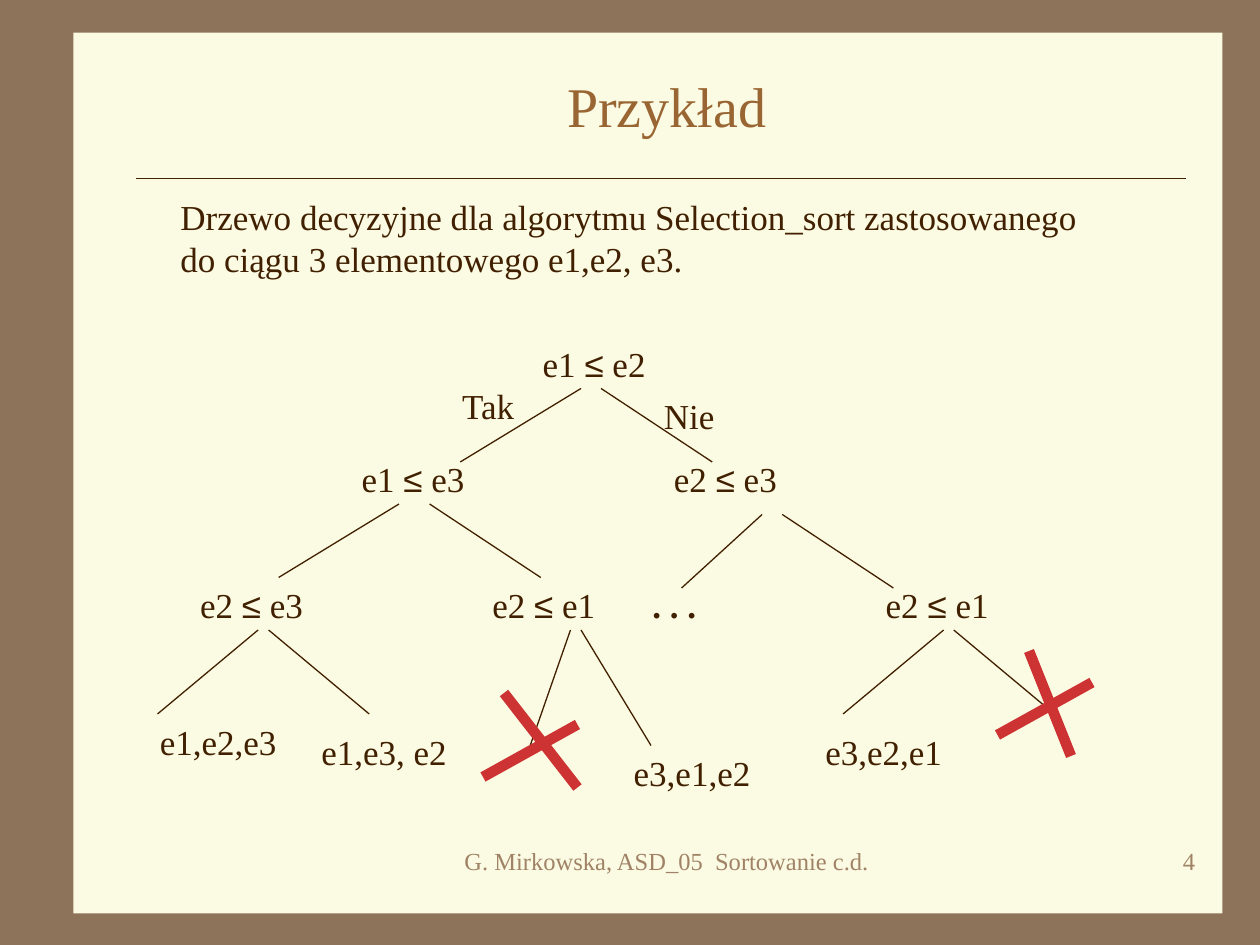
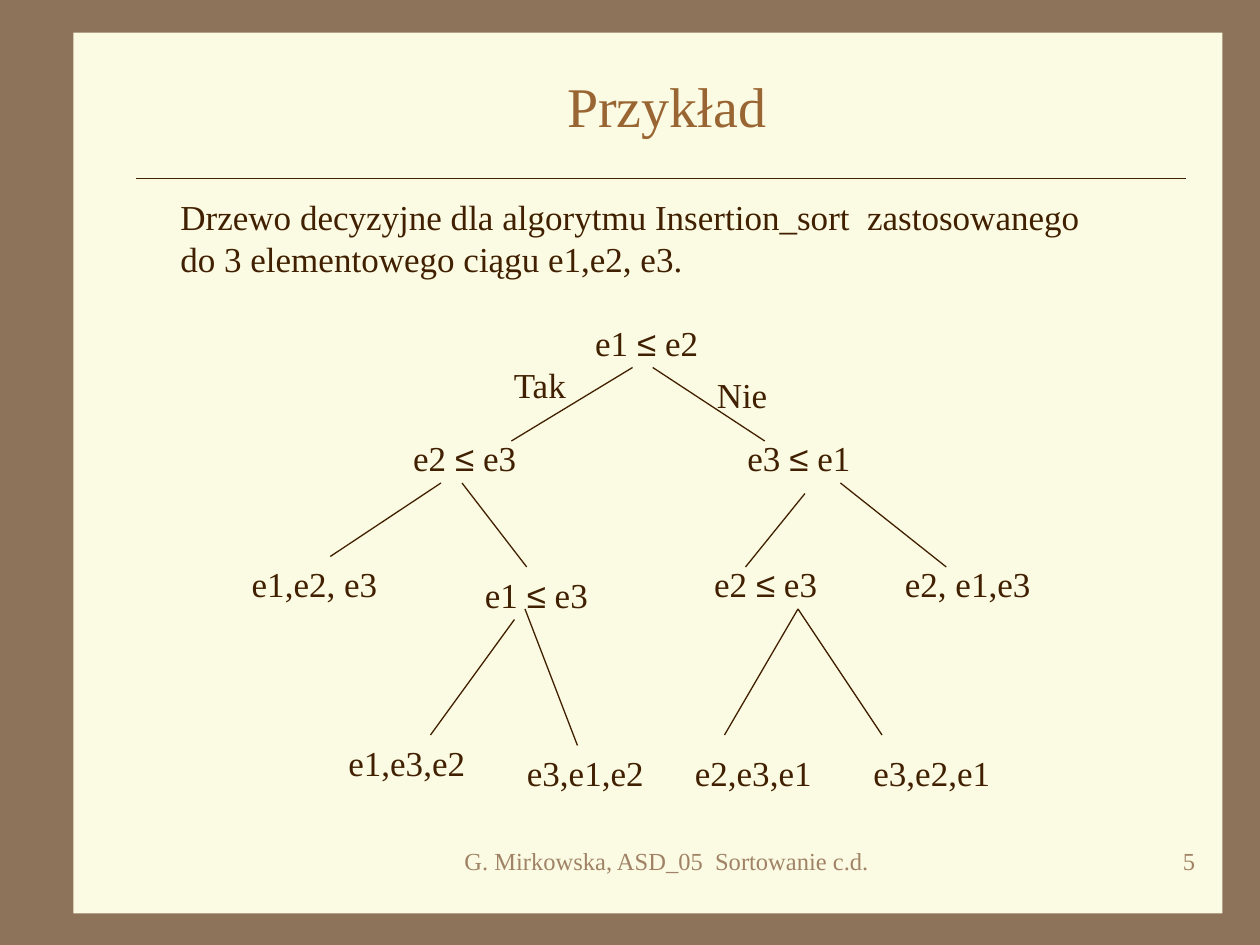
from dataclasses import dataclass

from lxml.etree import SubElement
from pptx import Presentation
from pptx.dml.color import RGBColor
from pptx.enum.shapes import MSO_CONNECTOR, MSO_SHAPE
from pptx.enum.text import MSO_ANCHOR, PP_ALIGN
from pptx.oxml.ns import qn
from pptx.util import Pt


@dataclass(frozen=True)
class Theme:
    frame: RGBColor = RGBColor(0x8C, 0x73, 0x5A)
    paper: RGBColor = RGBColor(0xFB, 0xFA, 0xE2)
    ink: RGBColor = RGBColor(0x40, 0x20, 0x00)
    title: RGBColor = RGBColor(0x99, 0x66, 0x33)
    foot: RGBColor = RGBColor(0xA0, 0x83, 0x66)
    cross: RGBColor = RGBColor(0xCD, 0x33, 0x33)
    serif: str = "Times New Roman"
    sans: str = "Arial"
    big: float = 32
    text: float = 20
    small: float = 14
    thin: float = 0.75
    thick: float = 6


THEME = Theme()
NODE = (104, 31.5)
AUTHOR = "G. Mirkowska, ASD_05  Sortowanie c.d."

# Labels are (text, left, top); lines are (x1, y1, x2, y2), parent first.
SELECT = {
    "number": 4,
    "intro": "Drzewo decyzyjne dla algorytmu Selection_sort zastosowanego "
             "do ciągu 3 elementowego e1,e2, e3.",
    "labels": [
        ("e1 ≤ e2", 303, 192),
        ("Tak", 257, 216), ("Nie", 372.25, 222),
        ("e1 ≤ e3", 199.5, 258), ("e2 ≤ e3", 378, 258),
        ("e2 ≤ e3", 107.25, 330), ("e2 ≤ e1", 274.25, 330),
        ("e2 ≤ e1", 499, 330),
        ("e1,e2,e3", 84.25, 408), ("e1,e3, e2", 176.5, 414),
        ("e3,e1,e2", 355, 426), ("e3,e2,e1", 464.5, 414),
    ],
    "dots": (365.75, 330),
    "edges": [
        (332, 222, 263, 264), (343.5, 222, 407, 264),
        (228, 288, 159.25, 330), (245.5, 288, 309, 330),
        (435.5, 294, 389.5, 336), (447, 294, 510.5, 336),
        (147.5, 360, 90, 408), (153.5, 360, 211, 408),
        (326, 360, 303, 426), (332, 360, 372, 426),
        (539.25, 360, 481.75, 408), (545, 360, 602.5, 408),
    ],
    "crosses": [
        (288, 396, 330, 450), (276, 444, 330, 414),
        (588, 372, 612, 432), (570, 420, 624, 390),
    ],
}
INSERT = {
    "number": 5,
    "intro": "Drzewo decyzyjne dla algorytmu Insertion_sort  zastosowanego "
             "do 3 elementowego ciągu e1,e2, e3.",
    "labels": [
        ("e1 ≤ e2", 333, 180),
        ("Tak", 286.5, 204), ("Nie", 402.5, 210),
        ("e2 ≤ e3", 229, 246), ("e3 ≤ e1", 420, 246),
        ("e1,e2, e3", 136.75, 318), ("e1 ≤ e3", 270, 324),
        ("e2 ≤ e3", 401, 318), ("e2, e1,e3", 510, 318),
        ("e1,e3,e2", 192, 420), ("e3,e1,e2", 294, 426),
        ("e2,e3,e1", 390, 426), ("e3,e2,e1", 492, 426),
    ],
    "edges": [
        (361.5, 210, 292.25, 252), (373, 210, 437, 252),
        (252, 276, 188.75, 318), (264, 276, 301, 324),
        (460, 282, 426, 324), (480.25, 276, 540.75, 324),
        (294, 354, 246, 420), (300, 348, 330, 426),
        (456, 348, 414, 420), (456, 348, 504, 420),
    ],
}


def put(item, **values):
    for name, value in values.items():
        setattr(item, name, value)


def place(shape, left, top, width, height):
    put(shape, left=Pt(left), top=Pt(top), width=Pt(width), height=Pt(height))


def style(run, color, size, name=THEME.serif, bold=False):
    put(run.font, size=Pt(size), name=name, bold=bold)
    run.font.color.rgb = color


def write(slide, text, area, color=THEME.ink, size=THEME.text,
          align=PP_ALIGN.LEFT, bold=False):
    """Add a text box, setting every ≤ sign in the sans font."""
    box = slide.shapes.add_textbox(*map(Pt, area))
    box.text_frame.word_wrap = True
    para = box.text_frame.paragraphs[0]
    para.alignment = align
    for part in filter(None, text.partition("≤")):
        run = para.add_run()
        run.text = part
        style(run, color, size, THEME.sans if part == "≤" else THEME.serif, bold)
    return box


def draw(slide, ends, color=THEME.ink, width=THEME.thin):
    line = slide.shapes.add_connector(MSO_CONNECTOR.STRAIGHT, *map(Pt, ends))
    line.line.color.rgb = color
    line.line.width = Pt(width)
    SubElement(line.element.spPr, qn("a:effectLst"))
    return line


def link(slide, ends, boxes):
    """Draw a branch and join it to a box whose top middle it meets."""
    line = draw(slide, ends)
    for box in boxes:
        gap_x = abs(box.left + box.width / 2 - line.end_x)
        gap_y = abs(box.top - line.end_y)
        if max(gap_x, gap_y) < Pt(1):
            line.end_connect(box, 0)


def dress(layout, slide):
    """Give the layout its background, paper, rule and title place."""
    fill = layout.background.fill
    fill.solid()
    fill.fore_color.rgb = THEME.frame
    paper = slide.shapes.add_shape(
        MSO_SHAPE.RECTANGLE, *map(Pt, (42, 18.75, 656.5, 503.25)))
    paper.shadow.inherit = False
    paper.fill.solid()
    paper.fill.fore_color.rgb = THEME.paper
    paper.line.fill.background()
    rule = draw(slide, (78, 102, 678, 102))
    for spot, shape in enumerate((paper, rule), 2):
        layout.shapes.element.insert(spot, shape.element)
    title = layout.placeholders[0]
    place(title, 78, 36, 606, 48)
    title.text_frame.vertical_anchor = MSO_ANCHOR.MIDDLE


def head(slide, text):
    para = slide.shapes.title.text_frame.paragraphs[0]
    para.alignment = PP_ALIGN.CENTER
    run = para.add_run()
    run.text = text
    style(run, THEME.title, THEME.big)


def foot(slide, number):
    for text, area, align in (
            (AUTHOR, (222, 480, 318, 36), PP_ALIGN.CENTER),
            (str(number), (540, 480, 150, 36), PP_ALIGN.RIGHT)):
        write(slide, text, area, THEME.foot, THEME.small, align)


def fill_tree(slide, tree):
    head(slide, "Przykład")
    write(slide, tree["intro"], (96, 108, 546, 55.5))
    boxes = [write(slide, text, (left, top, *NODE))
             for text, left, top in tree["labels"]]
    if "dots" in tree:
        write(slide, ". . .", (*tree["dots"], 52, NODE[1]), bold=True)
    for ends in tree["edges"]:
        link(slide, ends, boxes)
    for ends in tree.get("crosses", ()):
        draw(slide, ends, THEME.cross, THEME.thick)
    foot(slide, tree["number"])


def main():
    deck = Presentation()
    put(deck, slide_width=Pt(720), slide_height=Pt(540))
    layout = deck.slide_layouts[5]
    slides = [deck.slides.add_slide(layout) for _ in range(2)]
    dress(layout, slides[0])
    for slide, tree in zip(slides, (SELECT, INSERT)):
        fill_tree(slide, tree)
    deck.save("out.pptx")


if __name__ == "__main__":
    main()
